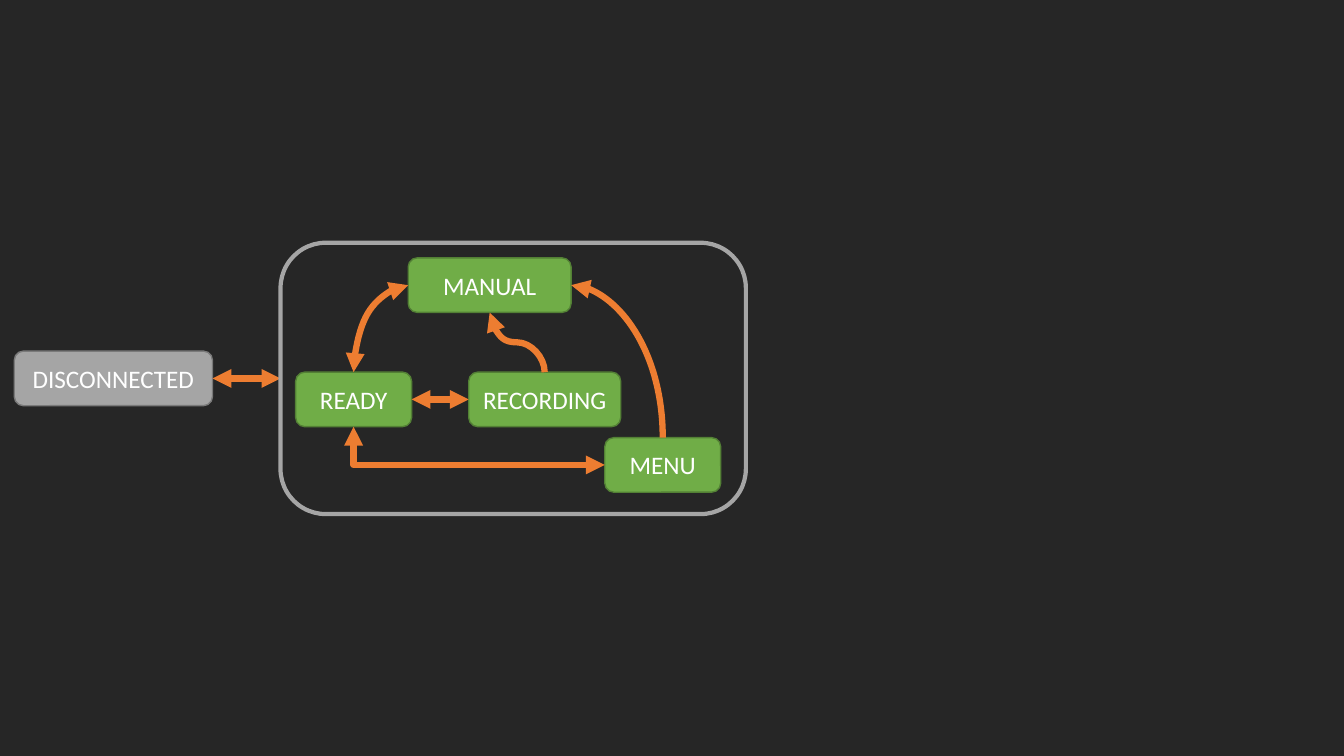
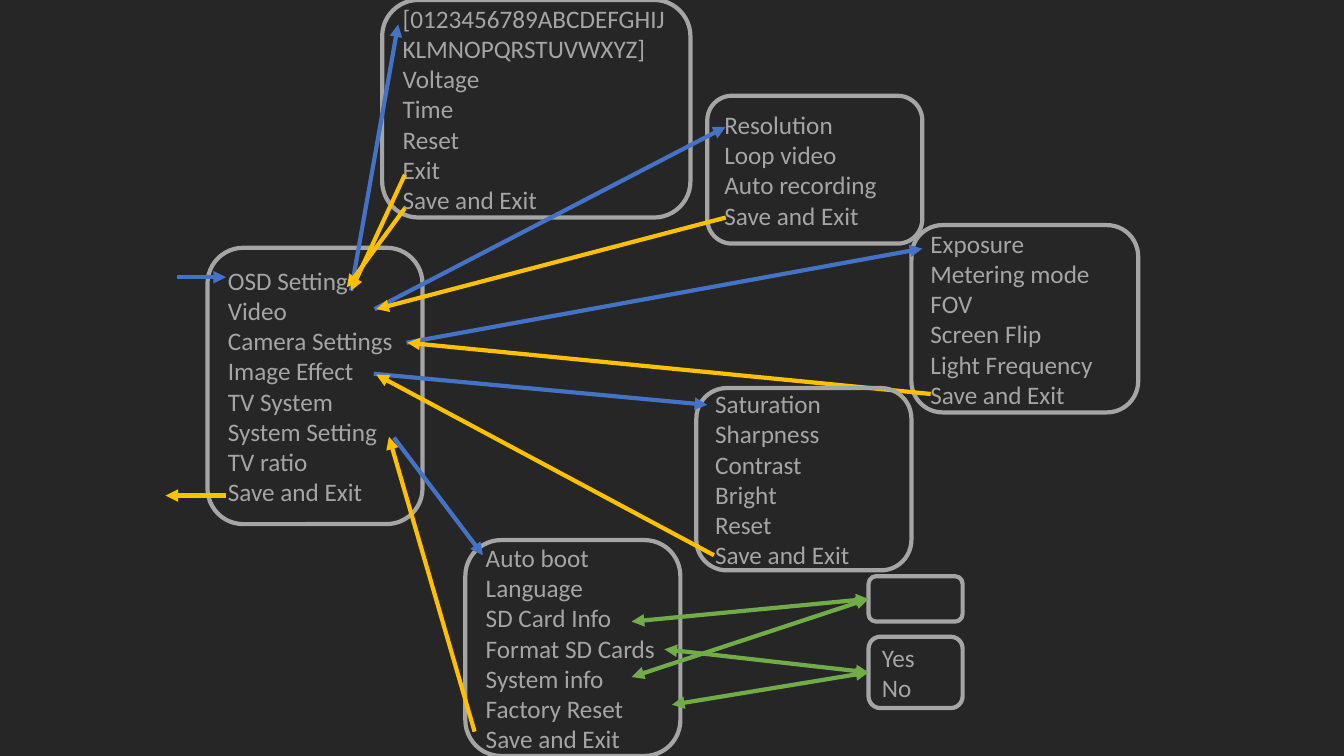
import dataclasses

import pptx
import pptx.dml.color
import pptx.enum.shapes
import pptx.enum.text
import pptx.oxml
import pptx.oxml.ns
import pptx.util

RGBColor = pptx.dml.color.RGBColor
Connector = pptx.enum.shapes.MSO_CONNECTOR
Align = pptx.enum.text.PP_ALIGN

# Colours
CHARCOAL = RGBColor(0x26, 0x26, 0x26)
WHITE = RGBColor(0xFF, 0xFF, 0xFF)
GREY = RGBColor(0xA5, 0xA5, 0xA5)
DARK_GREY = RGBColor(0x7A, 0x7A, 0x7A)
GREEN = RGBColor(0x70, 0xAD, 0x47)
DARK_GREEN = RGBColor(0x53, 0x80, 0x35)
ORANGE = RGBColor(0xED, 0x7D, 0x31)
BLUE = RGBColor(0x44, 0x72, 0xC4)
YELLOW = RGBColor(0xFF, 0xC0, 0x00)

# Grid: 160 columns by 90 rows of square cells
COLUMNS, ROWS = 160, 90
CELL = pptx.util.Inches(7.5) / ROWS
STATE_HEIGHT = 6.5


def cells(*counts):
    return [pptx.util.Emu(round(count * CELL)) for count in counts]


@dataclasses.dataclass
class Box:
    """A rectangle on the grid, with the middles of its sides."""
    x: float
    y: float
    width: float
    height: float = STATE_HEIGHT

    @property
    def left(self):
        return self.x, self.y + self.height / 2

    @property
    def right(self):
        return self.x + self.width, self.y + self.height / 2

    @property
    def top(self):
        return self.x + self.width / 2, self.y

    @property
    def bottom(self):
        return self.x + self.width / 2, self.y + self.height


class Diagram:
    font = "Calibri"
    text_size = pptx.util.Pt(18)

    def __init__(self):
        self.deck = pptx.Presentation()
        self.deck.slide_width, self.deck.slide_height = cells(COLUMNS, ROWS)
        background = self.deck.slide_master.background.fill
        background.solid()
        background.fore_color.rgb = CHARCOAL
        self.slide = None

    def new_slide(self):
        self.slide = self.deck.slides.add_slide(self.deck.slide_layouts[6])

    def rounded(self, box, lines, text_color, align, edge, edge_width, fill=None):
        shape = self.slide.shapes.add_shape(
            pptx.enum.shapes.MSO_SHAPE.ROUNDED_RECTANGLE,
            *cells(box.x, box.y, box.width, box.height))
        shape.shadow.inherit = False
        if fill is None:
            shape.fill.background()
        else:
            shape.fill.solid()
            shape.fill.fore_color.rgb = fill
        shape.line.color.rgb = edge
        shape.line.width = pptx.util.Pt(edge_width)
        frame = shape.text_frame
        frame.word_wrap = True
        frame.vertical_anchor = pptx.enum.text.MSO_ANCHOR.MIDDLE
        for index, line in enumerate(lines):
            paragraph = frame.add_paragraph() if index else frame.paragraphs[0]
            paragraph.alignment = align
            run = paragraph.add_run()
            run.text = line
            run.font.name = self.font
            run.font.size = self.text_size
            run.font.color.rgb = text_color

    def state(self, box, label, fill=GREEN, edge=DARK_GREEN):
        self.rounded(box, [label], WHITE, Align.CENTER, edge, 1, fill)

    def menu(self, box, *entries):
        self.rounded(box, entries, GREY, Align.LEFT, GREY, 3)

    def arrow(self, start, end, color, width=3, heads="tail",
              kind=Connector.STRAIGHT, preset=None, upright=False):
        """Heads: "head" at start, "tail" at end. Upright paths leave vertically."""
        (x1, y1), (x2, y2) = start, end
        if upright:  # lay the path flat about its centre, then turn it 90 degrees
            mid_x, mid_y = (x1 + x2) / 2, (y1 + y2) / 2
            half_x, half_y = (y2 - y1) / 2, (x1 - x2) / 2
            x1, y1 = mid_x - half_x, mid_y - half_y
            x2, y2 = mid_x + half_x, mid_y + half_y
        link = self.slide.shapes.add_connector(kind, *cells(x1, y1, x2, y2))
        link.line.color.rgb = color
        link.line.width = pptx.util.Pt(width)
        qn = pptx.oxml.ns.qn
        properties = link.element.spPr
        if upright:
            properties.find(qn("a:xfrm")).set("rot", "5400000")
        if preset:
            properties.find(qn("a:prstGeom")).set("prst", preset)
        for tip in ("head", "tail"):
            if heads in (tip, "both"):
                self.add_xml(properties.find(qn("a:ln")), f"{tip}End", 'type="triangle"')
        self.add_xml(properties, "effectLst")

    @staticmethod
    def add_xml(parent, tag, attributes=""):
        namespace = pptx.oxml.ns.nsdecls("a")
        parent.append(pptx.oxml.parse_xml(f"<a:{tag} {namespace} {attributes}/>"))


def draw_states(diagram):
    diagram.new_slide()
    ready = Box(35.2, 44.3, 13.8)
    disconnected = Box(1.7, 41.8, 23.6)
    manual = Box(48.6, 30.7, 19.4)
    menu = Box(72, 52.1, 13.8)
    recording = Box(55.8, 44.3, 18.1)
    connected = Box(33.4, 28.9, 55.4, 32.3)

    # States
    diagram.state(ready, "READY")
    diagram.state(disconnected, "DISCONNECTED", GREY, DARK_GREY)
    diagram.state(manual, "MANUAL")
    diagram.state(menu, "MENU")
    diagram.state(recording, "RECORDING")

    # Transitions
    curve, elbow = Connector.CURVE, Connector.ELBOW
    for start, end, heads, kind, preset, upright in (
        (disconnected.right, connected.left, "both", Connector.STRAIGHT, None, False),
        (ready.right, recording.left, "both", Connector.STRAIGHT, None, False),
        (manual.left, ready.top, "both", curve, "curvedConnector2", False),
        (manual.bottom, recording.top, "head", curve, None, True),
        (manual.right, menu.top, "head", curve, "curvedConnector2", False),
        (menu.left, ready.bottom, "both", elbow, "bentConnector2", False),
    ):
        diagram.arrow(start, end, ORANGE, 4.5, heads, kind, preset, upright)

    # Frame around the connected states
    diagram.menu(connected)


def draw_menus(diagram):
    diagram.new_slide()
    leave = "Save and Exit"

    # Main menu and OSD settings
    diagram.menu(Box(24.7, 29.5, 25.6, 32.9), "OSD Setting", "Video", "Camera Settings",
                 "Image Effect", "TV System", "System Setting", "TV ratio", leave)
    diagram.menu(Box(45.5, 0, 36.7, 25.9), "[0123456789ABCDEFGHIJKLMNOPQRSTUVWXYZ]",
                 "Voltage", "Time", "Reset", "Exit", leave)
    diagram.arrow((41.8, 34.6), (47.4, 2.9), BLUE)
    diagram.arrow((48.2, 24.8), (41.3, 34.2), YELLOW)

    # Video and camera settings
    diagram.menu(Box(84.2, 11.4, 25.6, 17.6),
                 "Resolution", "Loop video", "Auto recording", leave)
    diagram.menu(Box(108.5, 26.8, 27, 22.3), "Exposure", "Metering mode", "FOV",
                 "Screen Flip", "Light Frequency", leave)
    for start, end, color in (
        ((48.2, 20.8), (41.8, 34.6), YELLOW),
        ((44.6, 36.8), (86.4, 15.1), BLUE),
        ((86.4, 25.9), (44.8, 36.8), YELLOW),
        ((48.4, 40.8), (109.8, 29.6), BLUE),
        ((110.8, 46.9), (48.5, 40.8), YELLOW),
    ):
        diagram.arrow(start, end, color)

    # Image effect and system setting
    diagram.menu(Box(82.9, 46.2, 25.6, 21.7), "Saturation", "Sharpness", "Contrast",
                 "Bright", "Reset", leave)
    diagram.menu(Box(55.4, 64.3, 25.6, 25.7), "Auto boot", "Language", "SD Card Info",
                 "Format SD Cards", "System info", "Factory Reset", leave)
    for start, end, color in (
        ((26.9, 59), (19.7, 59), YELLOW),
        ((46.9, 52.1), (57.5, 66.1), BLUE),
        ((44.5, 44.5), (84.2, 48.2), BLUE),
        ((85, 66.1), (44.8, 44.6), YELLOW),
        ((56.5, 87.1), (46.3, 52), YELLOW),
    ):
        diagram.arrow(start, end, color)

    # Info and confirmation pop-ups
    confirmation = Box(103.4, 75.8, 11.2, 8.5)
    info = Box(103.4, 68.6, 11.2, 5.4)
    diagram.menu(confirmation, "Yes", "No")
    diagram.menu(info)
    for entry, popup in (
        ((75.2, 74), info),
        ((75.2, 80.6), info),
        ((79.1, 77.3), confirmation),
        ((80, 83.9), confirmation),
    ):
        diagram.arrow(entry, popup.left, GREEN, heads="both")

    # Way into the main menu
    diagram.arrow((21.1, 33), (26.9, 33), BLUE)


def main():
    diagram = Diagram()
    draw_states(diagram)
    draw_menus(diagram)
    diagram.deck.save("out.pptx")


if __name__ == "__main__":
    main()
